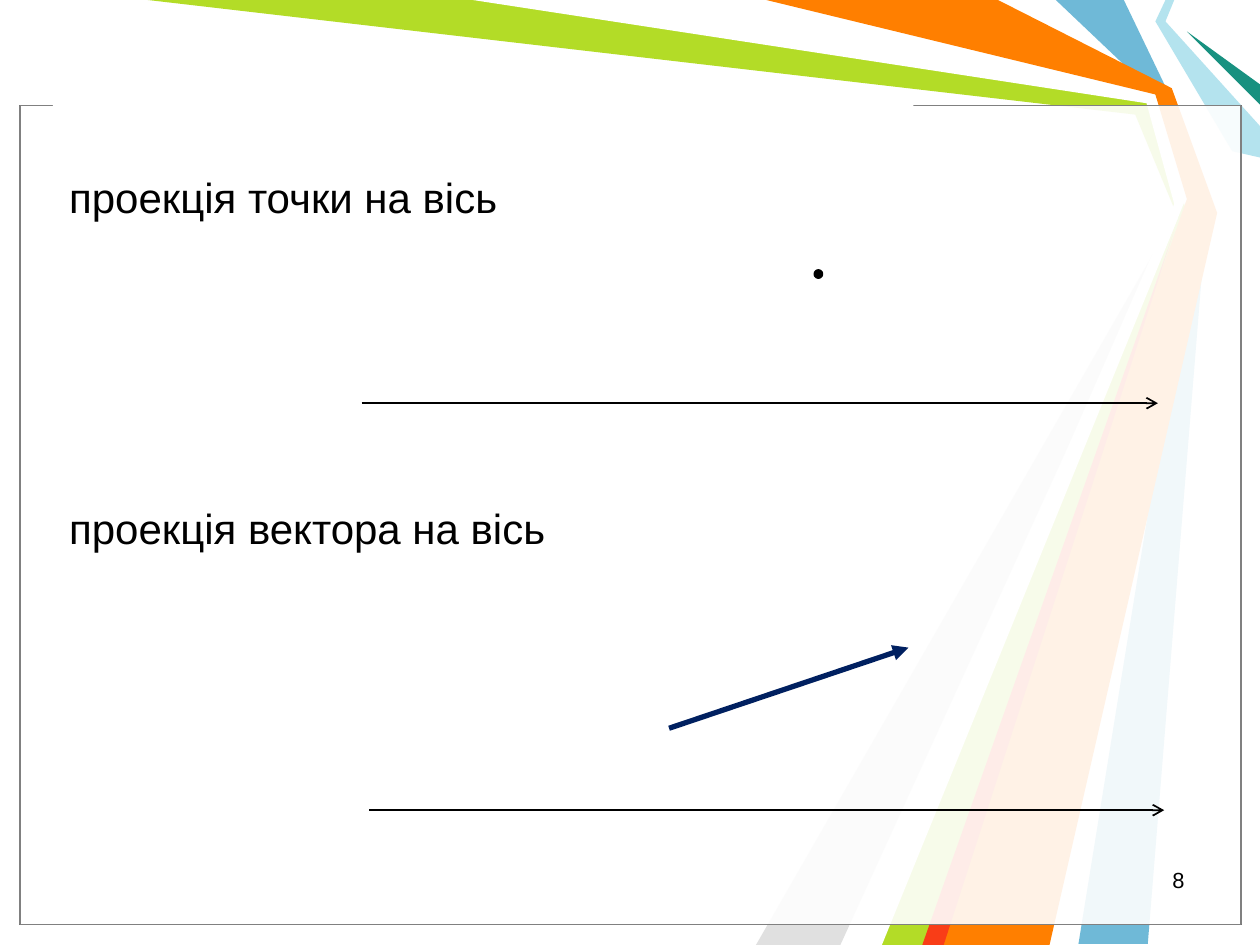
import pptx
import pptx.util
import pptx.dml.color
import pptx.enum.shapes
import pptx.enum.text
import pptx.oxml.ns
from dataclasses import dataclass
from lxml import etree

Inches = pptx.util.Inches
Kind = pptx.enum.shapes.MSO_SHAPE
Align = pptx.enum.text.PP_ALIGN
qn = pptx.oxml.ns.qn


@dataclass
class Theme:
    font: str = "Arial"
    body: float = 24
    small: float = 12.5
    ink: str = "000000"
    navy: str = "002060"
    gray: str = "808080"
    white: str = "FFFFFF"
    blue: str = "6FB9D7"
    lime: str = "B3DC27"
    silver: str = "E0E0E0"
    pale: str = "B4E3EE"
    teal: str = "189180"
    orange: str = "FF7F00"
    red: str = "F93D17"


def rgb(code):
    return pptx.dml.color.RGBColor.from_string(code)


class Board:
    def __init__(self, slide, theme):
        self.slide = slide
        self.theme = theme

    def paint(self, shape, fill, line=None, width=0.75, alpha=None):
        shape.shadow.inherit = False
        shape.fill.solid()
        shape.fill.fore_color.rgb = rgb(fill)
        if alpha is not None:
            color = shape.fill._xPr.find(qn("a:solidFill"))[0]
            etree.SubElement(color, qn("a:alpha"), val=str(alpha * 1000))
        if line:
            shape.line.color.rgb = rgb(line)
            shape.line.width = pptx.util.Pt(width)
        else:
            shape.line.fill.background()

    def ray(self, fill, points):
        spots = [(Inches(x), Inches(y)) for x, y in points]
        pen = self.slide.shapes.build_freeform(*spots[0], scale=1.0)
        pen.add_line_segments(spots[1:], close=True)
        self.paint(pen.convert_to_shape(), fill)

    def shape(self, kind, box, fill, **style):
        item = self.slide.shapes.add_shape(kind, *map(Inches, box))
        self.paint(item, fill, **style)

    def text(self, box, words, size, align=Align.LEFT, wrap=False, gap=None):
        frame = self.slide.shapes.add_textbox(*map(Inches, box)).text_frame
        frame.word_wrap = wrap
        para = frame.paragraphs[0]
        para.alignment = align
        if gap:
            para.line_spacing = gap
        run = para.add_run()
        run.text = words
        run.font.name = self.theme.font
        run.font.size = pptx.util.Pt(size)
        run.font.color.rgb = rgb(self.theme.ink)

    def arrow(self, start, end, color, width, head):
        ends = map(Inches, (*start, *end))
        line = self.slide.shapes.add_connector(
            pptx.enum.shapes.MSO_CONNECTOR.STRAIGHT, *ends)
        line.line.color.rgb = rgb(color)
        line.line.width = pptx.util.Pt(width)
        etree.SubElement(line.line._get_or_add_ln(), qn("a:tailEnd"), type=head)
        etree.SubElement(line._element.spPr, qn("a:effectLst"))


def main():
    deck = pptx.Presentation()
    deck.slide_width, deck.slide_height = Inches(10), Inches(7.5)
    theme = Theme()
    board = Board(deck.slides.add_slide(deck.slide_layouts[6]), theme)

    # Coloured rays, back to front
    rays = [
        (theme.blue, [(8.92, 0), (9.29, 0.77), (9.58, 1.67), (9.11, 7.49),
                      (8.56, 7.49), (9.5, 1.67), (9.17, 0.75), (8.38, 0)]),
        (theme.lime, [(1.17, 0), (3.83, 0), (9.14, 0.78), (9.42, 1.69),
                      (7.42, 7.5), (6.92, 7.5), (9.35, 1.73), (9.01, 0.91)]),
        (theme.silver, [(6.67, 7.5), (9.27, 1.81), (6, 7.5)]),
        (theme.white, [(3.75, 0), (9.1, 0.82), (9.32, 1.62), (6.75, 7.5),
                       (7, 7.5), (9.41, 1.58), (9.17, 0.75), (6, 0)]),
        (theme.pale, [(9.25, 0), (9.17, 0.17), (9.78, 1.2), (10, 1.25),
                      (10, 1), (9.25, 0.17), (9.32, 0)]),
        (theme.teal, [(10, 0.83), (9.42, 0.25), (10, 0.67)]),
        (theme.orange, [(6.08, 0), (7.92, 0), (9.3, 0.7), (9.66, 1.69),
                        (8.33, 7.5), (7.33, 7.5), (9.42, 1.58), (9.17, 0.75)]),
        (theme.red, [(7.32, 7.5), (9.32, 1.83), (7.49, 7.5)]),
    ]
    for fill, points in rays:
        board.ray(fill, points)

    # Translucent panel in two layers, with a gap in its top edge
    for edge in (theme.ink, theme.gray):
        board.shape(Kind.RECTANGLE, (0.16, 0.84, 9.69, 6.5), theme.white,
                    line=edge, alpha=69)
    board.shape(Kind.RECTANGLE, (0.42, 0.74, 6.83, 0.17), theme.white)

    # Slide number
    board.text((7.17, 6.87, 2.33, 0.33), "8", theme.small,
               align=Align.RIGHT, wrap=True, gap=0.8)

    # Point and axis
    board.text((0.45, 1.31, 3.61, 0.5), "проекція точки на вісь", theme.body)
    board.arrow((2.87, 3.2), (9.19, 3.2), theme.ink, 1, "arrow")
    board.shape(Kind.OVAL, (6.47, 2.15, 0.05, 0.05), theme.ink,
                line=theme.ink, width=2)

    # Vector and axis
    board.text((0.45, 3.94, 3.98, 0.5), "проекція вектора на вісь", theme.body)
    board.arrow((2.93, 6.43), (9.24, 6.43), theme.ink, 1, "arrow")
    board.arrow((5.31, 5.78), (7.21, 5.14), theme.navy, 3, "triangle")

    deck.save("out.pptx")


if __name__ == "__main__":
    main()
